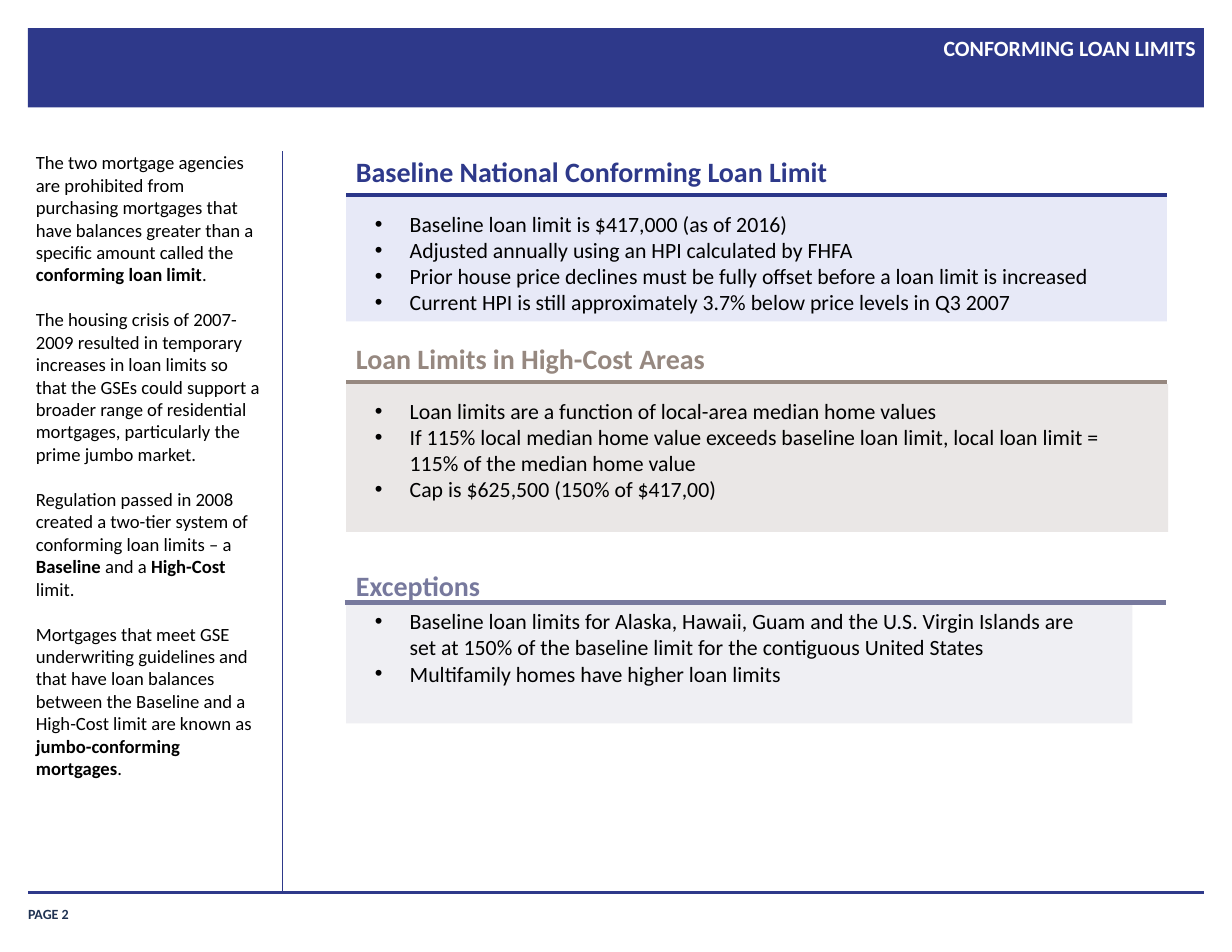
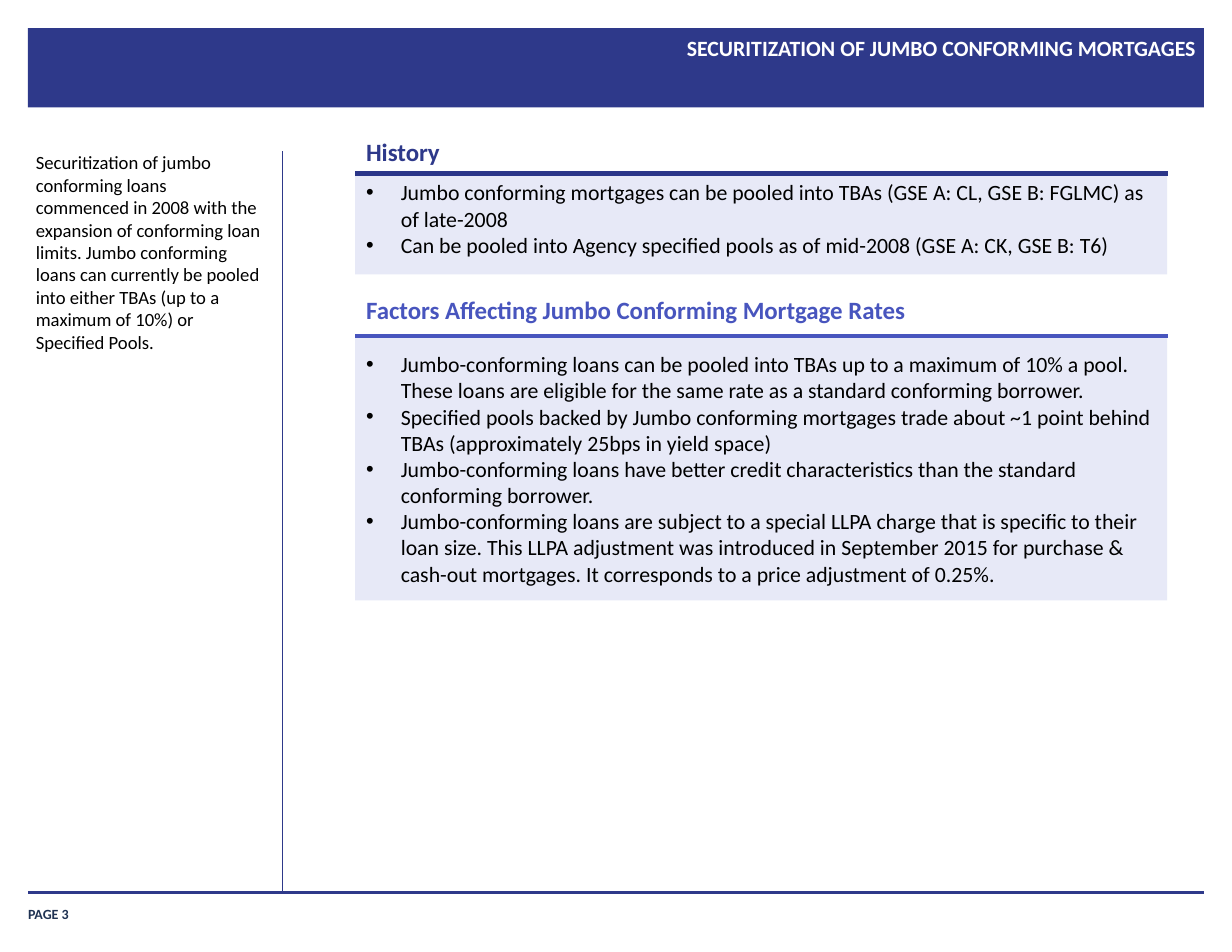
from dataclasses import dataclass
from typing import NamedTuple, Optional

from lxml import etree
from pptx import Presentation
from pptx import util as u
from pptx.dml.color import RGBColor
from pptx.enum import shapes, text
from pptx.oxml import ns

FONT = "Calibri"
NAVY = RGBColor(0x2E, 0x39, 0x8A)
RULE_NAVY = RGBColor(0x2B, 0x36, 0x89)
ROYAL = RGBColor(0x48, 0x55, 0xBE)
TAUPE = RGBColor(0x96, 0x88, 0x80)
SLATE = RGBColor(0x77, 0x79, 0x9D)
PALE_BLUE = RGBColor(0xE7, 0xE9, 0xF7)
PALE_TAUPE = RGBColor(0xEA, 0xE7, 0xE6)
PALE_SLATE = RGBColor(0xEF, 0xEF, 0xF3)
FOOTER_INK = RGBColor(0x20, 0x33, 0x53)
BLACK = RGBColor(0, 0, 0)
WHITE = RGBColor(0xFF, 0xFF, 0xFF)

BULLET_INDENT = u.Inches(0.31)
SIDEBAR_GAP = u.Pt(14.6)


class Box(NamedTuple):
    left: float
    top: float
    width: float
    height: float

    def lengths(self) -> list:
        return [u.Inches(value) for value in self]


class Style(NamedTuple):
    size: float
    color: RGBColor
    bold: bool = False


TITLE_STYLE = Style(14, WHITE, True)
FOOTER_STYLE = Style(9, FOOTER_INK, True)
SIDEBAR_STYLE = Style(12, BLACK)
BULLET_STYLE = Style(14, BLACK)

BAND = Box(0.25, 0.25, 10.5, 0.71)
TITLE = Box(3.17, 0.29, 7.51, 0.67)
SIDEBAR = Box(0.32, 1.35, 2.01, 6.48)
FOOTER = Box(0.25, 8.01, 0.91, 0.23)


@dataclass
class Section:
    heading: str
    heading_box: Box
    heading_style: Style
    rule_color: RGBColor
    rule_left: float
    rule_top: float
    panel: Box
    panel_color: RGBColor
    bullets: list[str]
    bullet_box: Optional[Box] = None


@dataclass
class Page:
    number: int
    title: str
    sidebar: list[str]
    sections: list[Section]


def format_runs(paragraph, style: Style) -> None:
    for run in paragraph.runs:
        run.font.name = FONT
        run.font.size = u.Pt(style.size)
        run.font.color.rgb = style.color
        run.font.bold = style.bold


def clear_margins(frame) -> None:
    frame.margin_left = frame.margin_right = 0
    frame.margin_top = frame.margin_bottom = 0


def add_text(slide, box: Box):
    frame = slide.shapes.add_textbox(*box.lengths()).text_frame
    frame.word_wrap = True
    return frame


def add_line(slide, start: tuple, end: tuple, color: RGBColor, width: float) -> None:
    points = [u.Inches(value) for value in (*start, *end)]
    line = slide.shapes.add_connector(shapes.MSO_CONNECTOR.STRAIGHT, *points)
    line.line.color.rgb = color
    line.line.width = u.Pt(width)
    etree.SubElement(line._element.spPr, ns.qn("a:effectLst"))


def add_panel(slide, box: Box, color: RGBColor):
    shape = slide.shapes.add_shape(shapes.MSO_SHAPE.RECTANGLE, *box.lengths())
    shape.shadow.inherit = False
    shape.fill.solid()
    shape.fill.fore_color.rgb = color
    shape.line.fill.background()
    return shape


def write_bullets(frame, bullets: list[str]) -> None:
    frame.word_wrap = True
    frame.text = "\n".join(bullets)
    for paragraph in frame.paragraphs:
        paragraph.alignment = text.PP_ALIGN.LEFT
        properties = paragraph._p.get_or_add_pPr()
        properties.set("marL", str(BULLET_INDENT))
        properties.set("indent", str(-BULLET_INDENT))
        etree.SubElement(properties, ns.qn("a:buFont"), typeface="Arial")
        etree.SubElement(properties, ns.qn("a:buChar"), char="•")
        format_runs(paragraph, BULLET_STYLE)


def add_sidebar(slide, entries: list[str]) -> None:
    frame = add_text(slide, SIDEBAR)
    clear_margins(frame)
    for index, entry in enumerate(entries):
        paragraph = frame.add_paragraph() if index else frame.paragraphs[0]
        if index:
            paragraph.space_before = SIDEBAR_GAP
        for part in entry.split("*"):
            paragraph.add_run().text = part
        format_runs(paragraph, SIDEBAR_STYLE)
        for run in paragraph.runs[1::2]:
            run.font.bold = True


def add_section(slide, section: Section) -> None:
    panel = add_panel(slide, section.panel, section.panel_color)
    heading = add_text(slide, section.heading_box)
    heading.text = section.heading
    format_runs(heading.paragraphs[0], section.heading_style)
    left, top = section.rule_left, section.rule_top
    add_line(slide, (left, top), (left + 7.33 if left < 3.17 else 10.43, top), section.rule_color, 3)
    if section.bullet_box:
        write_bullets(add_text(slide, section.bullet_box), section.bullets)
    else:
        panel.text_frame.vertical_anchor = text.MSO_ANCHOR.MIDDLE
        write_bullets(panel.text_frame, section.bullets)


def add_frame(slide, page: Page) -> None:
    add_panel(slide, BAND, NAVY)
    add_line(slide, (0.25, 7.97), (10.75, 7.97), NAVY, 2.25)
    add_line(slide, (2.52, 1.35), (2.52, 7.98), NAVY, 0.5)

    footer = add_text(slide, FOOTER)
    clear_margins(footer)
    footer.vertical_anchor = text.MSO_ANCHOR.BOTTOM
    footer.text = f"PAGE {page.number}"
    format_runs(footer.paragraphs[0], FOOTER_STYLE)

    title = slide.shapes.title
    title.left, title.top, title.width, title.height = TITLE.lengths()
    frame = title.text_frame
    clear_margins(frame)
    frame.auto_size = text.MSO_AUTO_SIZE.NONE
    frame.vertical_anchor = text.MSO_ANCHOR.TOP
    frame.text = page.title
    paragraph = frame.paragraphs[0]
    paragraph.alignment = text.PP_ALIGN.RIGHT
    paragraph.line_spacing = 1.1
    format_runs(paragraph, TITLE_STYLE)
    slide.shapes._spTree.append(title._element)


PAGES = [
    Page(
        2,
        "CONFORMING LOAN LIMITS",
        [
            "The two mortgage agencies are prohibited from purchasing mortgages that have "
            "balances greater than a specific amount called the *conforming loan limit*.",
            "The housing crisis of 2007-2009 resulted in temporary increases in loan limits so "
            "that the GSEs could support a broader range of residential mortgages, "
            "particularly the prime jumbo market.",
            "Regulation passed in 2008 created a two-tier system of conforming loan limits – a "
            "*Baseline* and a *High-Cost* limit.",
            "Mortgages that meet GSE underwriting guidelines and that have loan balances between "
            "the Baseline and a High-Cost limit are known as *jumbo-conforming mortgages*.",
        ],
        [
            Section(
                "Baseline National Conforming Loan Limit",
                Box(3.08, 1.33, 4.6, 0.4), Style(18, NAVY, True),
                RULE_NAVY, 3.09, 1.74,
                Box(3.09, 1.74, 7.33, 1.13), PALE_BLUE,
                [
                    "Baseline loan limit is $417,000 (as of 2016)",
                    "Adjusted annually using an HPI calculated by FHFA",
                    "Prior house price declines must be fully offset before a loan limit is increased",
                    "Current HPI is still approximately 3.7% below price levels in Q3 2007",
                ],
                Box(3.25, 1.83, 6.67, 1.04),
            ),
            Section(
                "Loan Limits in High-Cost Areas",
                Box(3.08, 3, 3.68, 0.4), Style(18, TAUPE, True),
                TAUPE, 3.09, 3.41,
                Box(3.09, 3.43, 7.34, 1.32), PALE_TAUPE,
                [
                    "Loan limits are a function of local-area median home values",
                    "If 115% local median home value exceeds baseline loan limit, local loan limit "
                    "= 115% of the median home value",
                    "Cap is $625,500 (150% of $417,00)",
                ],
                Box(3.25, 3.5, 6.67, 1.04),
            ),
            Section(
                "Exceptions",
                Box(3.08, 5.03, 2.25, 0.4), Style(18, SLATE, True),
                SLATE, 3.08, 5.38,
                Box(3.09, 5.38, 7.02, 1.08), PALE_SLATE,
                [
                    "Baseline loan limits for Alaska, Hawaii, Guam and the U.S. Virgin Islands are "
                    "set at 150% of the baseline limit for the contiguous United States",
                    "Multifamily homes have higher loan limits",
                ],
                Box(3.25, 5.38, 6.67, 1.08),
            ),
        ],
    ),
    Page(
        3,
        "SECURITIZATION OF JUMBO CONFORMING MORTGAGES",
        [
            "Securitization of jumbo conforming loans commenced in 2008 with the expansion of "
            "conforming loan limits. Jumbo conforming loans can currently be pooled into either "
            "TBAs (up to a maximum of 10%) or Specified Pools.",
        ],
        [
            Section(
                "History",
                Box(3.17, 1.17, 7.25, 0.37), Style(16, NAVY, True),
                RULE_NAVY, 3.17, 1.55,
                Box(3.17, 1.55, 7.25, 0.9), PALE_BLUE,
                [
                    "Jumbo conforming mortgages can be pooled into TBAs (GSE A: CL, GSE B: FGLMC) "
                    "as of late-2008",
                    "Can be pooled into Agency specified pools as of mid-2008 (GSE A: CK, GSE B: T6)",
                ],
                Box(3.17, 1.55, 7.25, 0.81),
            ),
            Section(
                "Factors Affecting Jumbo Conforming Mortgage Rates",
                Box(3.17, 2.58, 7.25, 0.37), Style(16, ROYAL, True),
                ROYAL, 3.17, 3,
                Box(3.17, 3.01, 7.25, 2.35), PALE_BLUE,
                [
                    "Jumbo-conforming loans can be pooled into TBAs up to a maximum of 10% a pool. "
                    "These loans are eligible for the same rate as a standard conforming borrower.",
                    "Specified pools backed by Jumbo conforming mortgages trade about ~1 point "
                    "behind TBAs (approximately 25bps in yield space)",
                    "Jumbo-conforming loans have better credit characteristics than the standard "
                    "conforming borrower.",
                    "Jumbo-conforming loans are subject to a special LLPA charge that is specific to "
                    "their loan size. This LLPA adjustment was introduced in September 2015 for "
                    "purchase & cash-out mortgages. It corresponds to a price adjustment of 0.25%.",
                ],
            ),
        ],
    ),
]


def main() -> None:
    presentation = Presentation()
    presentation.slide_width = u.Inches(11)
    presentation.slide_height = u.Inches(8.5)
    title_only = presentation.slide_layouts[5]
    for page in PAGES:
        slide = presentation.slides.add_slide(title_only)
        add_frame(slide, page)
        add_sidebar(slide, page.sidebar)
        for section in page.sections:
            add_section(slide, section)
    presentation.save("out.pptx")


if __name__ == "__main__":
    main()
